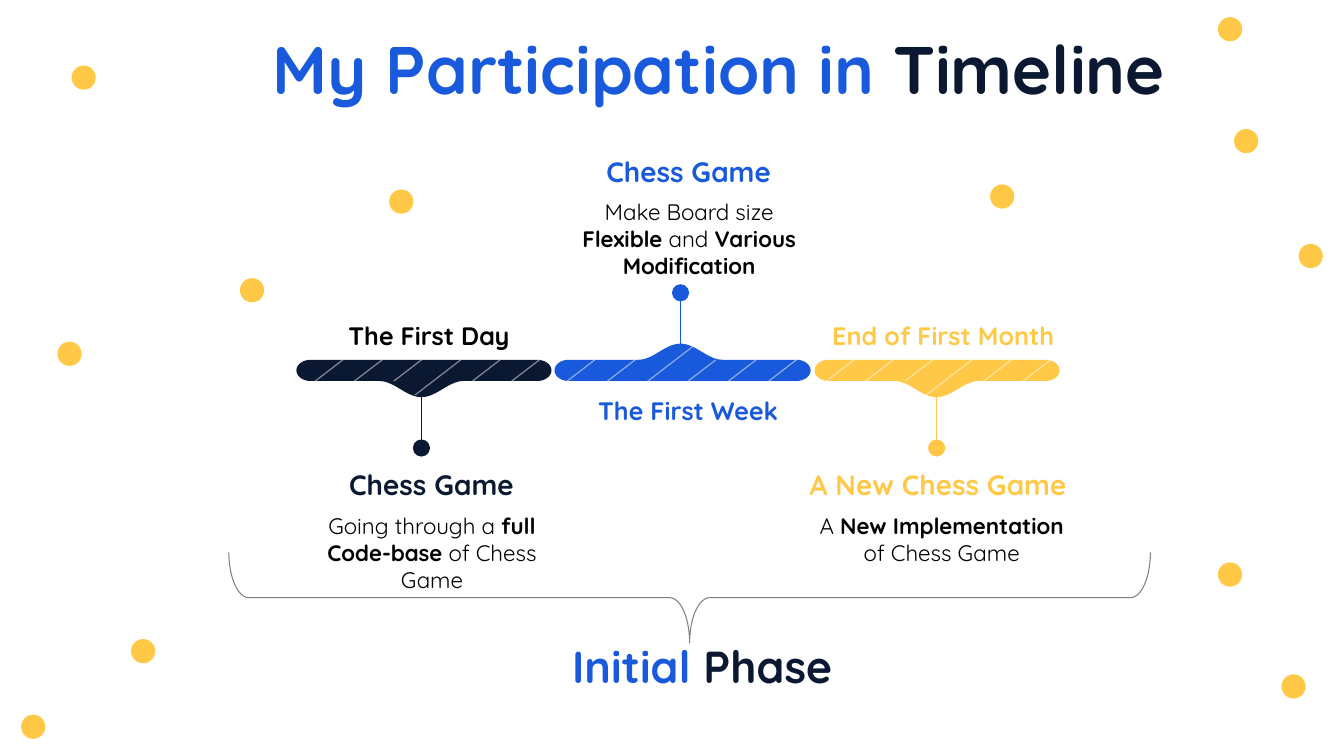
from dataclasses import dataclass
from math import cos, pi, sin

from pptx import Presentation
from pptx.dml.color import RGBColor
from pptx.enum.shapes import MSO_CONNECTOR, MSO_SHAPE
from pptx.enum.text import PP_ALIGN
from pptx.oxml.ns import qn
from pptx.util import Inches, Pt
from lxml.etree import SubElement


@dataclass(frozen=True)
class Theme:
    font: str = "Quicksand"
    navy: RGBColor = RGBColor(0x0A, 0x19, 0x31)
    blue: RGBColor = RGBColor(0x18, 0x5A, 0xDB)
    yellow: RGBColor = RGBColor(0xFF, 0xC9, 0x47)
    black: RGBColor = RGBColor(0, 0, 0)
    white: RGBColor = RGBColor(255, 255, 255)
    gray: RGBColor = RGBColor(0x7F, 0x7F, 0x7F)
    title: int = 48
    phase: int = 32
    heading: int = 20
    period: int = 18
    body: int = 16


theme = Theme()
presentation = Presentation()
presentation.slide_width = Inches(13.33)
presentation.slide_height = Inches(7.5)
slide = presentation.slides.add_slide(presentation.slide_layouts[6])
shapes = slide.shapes


def add_text(left, top, width, height, size, runs):
    """Add a centred text box; each run is (text, colour, bold)."""
    box = shapes.add_textbox(Inches(left), Inches(top), Inches(width), Inches(height))
    box.text_frame.word_wrap = True
    paragraph = box.text_frame.paragraphs[0]
    paragraph.alignment = PP_ALIGN.CENTER
    paragraph.font.name = theme.font
    paragraph.font.size = Pt(size)
    for text, color, bold in runs:
        run = paragraph.add_run()
        run.text = text
        run.font.color.rgb = color
        run.font.bold = bold


def paint(shape, color):
    shape.shadow.inherit = False
    shape.fill.solid()
    shape.fill.fore_color.rgb = color
    shape.line.fill.background()


# Scattered dots, by centre
DOT = 0.24
for x, y in [(3.98, 2), (0.69, 3.51), (0.83, 0.77), (1.42, 6.46), (9.94, 1.95), (12.36, 1.4),
             (12.2, 0.29), (13, 2.54), (12.83, 6.81), (0.33, 7.21), (12.2, 5.7), (2.5, 2.88)]:
    dot = shapes.add_shape(MSO_SHAPE.OVAL, Inches(x - DOT / 2), Inches(y - DOT / 2),
                           Inches(DOT), Inches(DOT))
    paint(dot, theme.yellow)

# Milestones: side is 1 when the bulge points down, -1 when it points up.
# Boxes are (left, width); stripes are (first top x, step, index of the long one).
milestones = [
    dict(side=1, color=theme.navy, bar=(2.94, 5.47), center=4.18, stripes=(3.39, 0.39, 3),
         period=("The First Day", theme.black, 2.87, 2.77),
         heading=("Chess Game", 3.24, 2.08), body_box=(2.93, 2.71),
         body=[("Going through a ", False), ("full Code-base", True), (" of Chess Game", False)]),
    dict(side=-1, color=theme.blue, bar=(5.5, 8.04), center=6.75, stripes=(5.89, 0.4, 2),
         period=("The First Week", theme.blue, 5.69, 2.27),
         heading=("Chess Game", 5.79, 2.08), body_box=(5.48, 2.71),
         body=[("Make Board size ", False), ("Flexible", True), (" and ", False),
               ("Various Modification", True)]),
    dict(side=1, color=theme.yellow, bar=(8.08, 10.51), center=9.29, stripes=(8.46, 0.39, 3),
         period=("End of First Month", theme.yellow, 7.94, 2.83),
         heading=("A New Chess Game", 7.83, 2.95), body_box=(7.9, 2.88),
         body=[("A ", False), ("New Implementation", True), (" of Chess Game", False)]),
]
BAR_Y = 3.675
HALF_BAR = 0.105
END_RADIUS = 0.14
BULGE_HALF = 0.42
BULGE_DEPTH = 0.16
STRIPE_SLOPE = 1.3
STRIPE_WIDTH = 0.02
PIN = 0.17

for milestone in milestones:
    side, color, center = milestone["side"], milestone["color"], milestone["center"]
    left, right = milestone["bar"]

    stem = shapes.add_connector(MSO_CONNECTOR.STRAIGHT, Inches(center), Inches(BAR_Y + side * 0.25),
                                Inches(center), Inches(BAR_Y + side * 0.77))
    stem.line.color.rgb = color
    stem.line.width = Pt(0.75)
    SubElement(stem._element.spPr, qn("a:effectLst"))
    pin = shapes.add_shape(MSO_SHAPE.OVAL, Inches(center - PIN / 2),
                           Inches(BAR_Y + side * 0.77 - PIN / 2), Inches(PIN), Inches(PIN))
    paint(pin, color)

    # Outline: right end, bulge from right to left, left end
    outline = []
    for end_x, direction in ((right - END_RADIUS, 1), (left + END_RADIUS, -1)):
        for step in range(17):
            angle = direction * (-pi / 2 + pi * step / 16)
            outline.append((end_x + direction * END_RADIUS * cos(angle),
                            BAR_Y + side * HALF_BAR * sin(angle)))
        if direction == 1:
            for step in range(33):
                t = 1 - step / 16
                depth = HALF_BAR + BULGE_DEPTH * (1 + cos(pi * t)) / 2
                outline.append((center + BULGE_HALF * t, BAR_Y + side * depth))
    points = [(Inches(x), Inches(y)) for x, y in outline]
    builder = shapes.build_freeform(*points[0])
    builder.add_line_segments(points[1:])
    paint(builder.convert_to_shape(), color)

    first, pitch, long_index = milestone["stripes"]
    builder = None
    for index in range(6):
        x = first + pitch * index
        top, bottom = BAR_Y - HALF_BAR, BAR_Y + HALF_BAR
        if index == long_index:
            top -= 0.14 if side < 0 else 0
            bottom += 0.14 if side > 0 else 0
        x_top = x + STRIPE_SLOPE * (BAR_Y - HALF_BAR - top)
        x_bottom = x - STRIPE_SLOPE * (bottom - BAR_Y + HALF_BAR)
        points = [(Inches(px), Inches(py)) for px, py in (
            (x_top, top), (x_bottom, bottom),
            (x_bottom + STRIPE_WIDTH, bottom), (x_top + STRIPE_WIDTH, top))]
        if builder is None:
            builder = shapes.build_freeform(*points[0])
        else:
            builder.move_to(*points[0])
        builder.add_line_segments(points[1:])
    stripes = builder.convert_to_shape()
    paint(stripes, theme.white)
    stripe_color = stripes._element.spPr.find(qn("a:solidFill"))[0]
    SubElement(stripe_color, qn("a:alpha"), val="49000")

    text, period_color, box_left, width = milestone["period"]
    add_text(box_left, 3.13 if side > 0 else 3.87, width, 0.4, theme.period,
             [(text, period_color, True)])
    heading_top = 4.59 if side > 0 else 1.48
    text, box_left, width = milestone["heading"]
    add_text(box_left, heading_top, width, 0.44, theme.heading, [(text, color, True)])
    box_left, width = milestone["body_box"]
    add_text(box_left, heading_top + 0.44, width, 0.64, theme.body,
             [(text, theme.black, bold) for text, bold in milestone["body"]])

add_text(2.45, 0.22, 9.36, 0.91, theme.title,
         [("My Participation in ", theme.blue, True), ("Timeline", theme.navy, True)])

brace = shapes.add_shape(MSO_SHAPE.RIGHT_BRACE, Inches(6.39), Inches(1.36), Inches(0.9), Inches(9.14))
brace.rotation = 90
brace.adjustments[0] = 0.22
brace.adjustments[1] = 0.5
brace.shadow.inherit = False
brace.fill.background()
brace.line.color.rgb = theme.gray
brace.line.width = Pt(0.75)

add_text(4.8, 6.29, 4.33, 0.64, theme.phase,
         [("Initial ", theme.blue, True), ("Phase", theme.navy, True)])

presentation.save("out.pptx")
